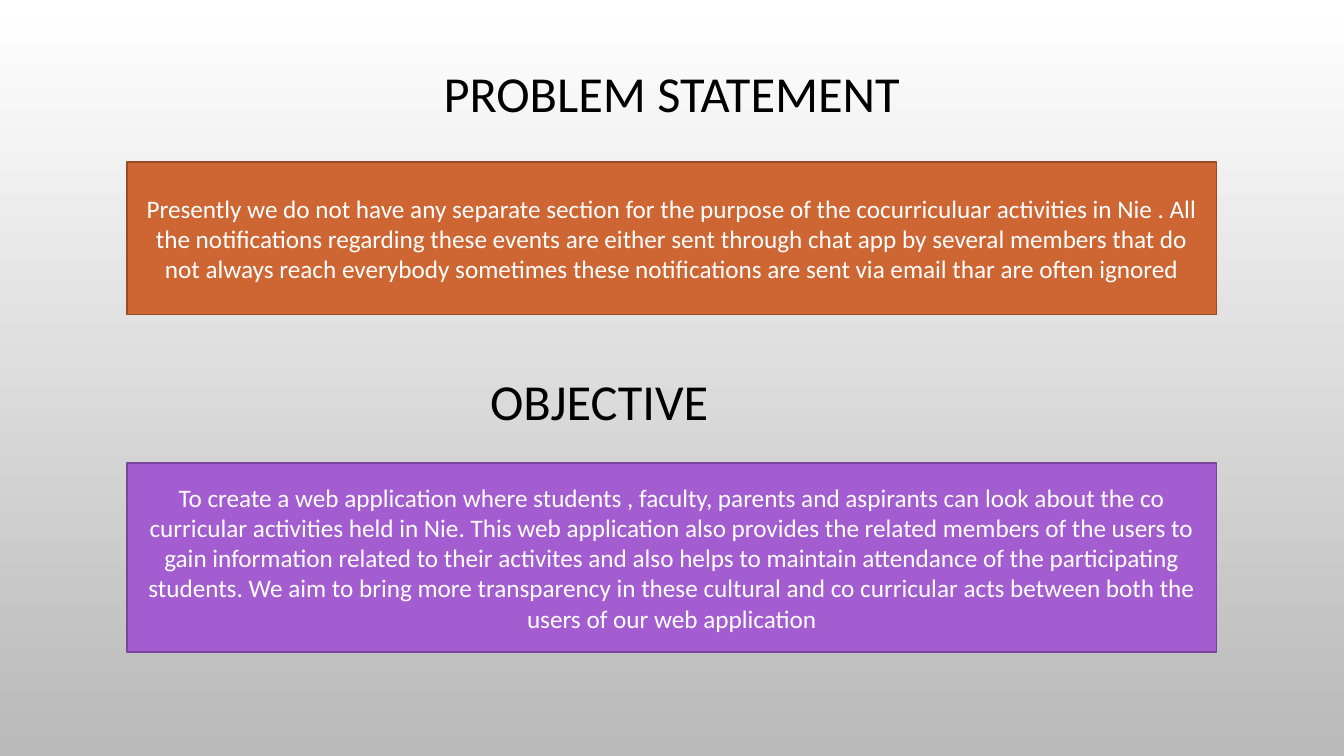
from pptx import Presentation
from pptx.dml.color import RGBColor
from pptx.enum.shapes import MSO_SHAPE
from pptx.enum.text import MSO_ANCHOR, PP_ALIGN
from pptx.util import Cm, Pt

RECTANGLE = MSO_SHAPE.RECTANGLE
TOP, MIDDLE = MSO_ANCHOR.TOP, MSO_ANCHOR.MIDDLE
LEFT, CENTER = PP_ALIGN.LEFT, PP_ALIGN.CENTER


def rgb(value):
    return RGBColor.from_string(value)


def write(shape, text, size=18, color="000000", align=CENTER, anchor=MIDDLE, spacing=1.0):
    frame = shape.text_frame
    frame.word_wrap = True
    frame.vertical_anchor = anchor
    paragraph = frame.paragraphs[0]
    paragraph.text = text
    paragraph.alignment = align
    paragraph.line_spacing = spacing
    font = paragraph.font
    font.name = "Calibri"
    font.size = Pt(size)
    font.color.rgb = rgb(color)


prs = Presentation()
prs.slide_width, prs.slide_height = Cm(33.87), Cm(19.05)
slide = prs.slides.add_slide(prs.slide_layouts[5])

# Background: white at the top to grey at the bottom
backdrop = slide.background.fill
backdrop.gradient()
backdrop.gradient_angle = 270
for stop, (position, color) in zip(backdrop.gradient_stops, [(0, "FFFFFF"), (1, "B9B9B9")]):
    stop.position = position
    stop.color.rgb = rgb(color)

# Headings
problem_heading = slide.shapes.title
problem_heading.left, problem_heading.top = Cm(2.54), Cm(0.2)
problem_heading.width, problem_heading.height = Cm(28.78), Cm(4.45)
write(problem_heading, "PROBLEM STATEMENT", size=36, spacing=0.9)

objective_heading = slide.shapes.add_textbox(Cm(4.9), Cm(9.19), Cm(24.79), Cm(1.8))
objective_heading.text_frame.margin_left = Cm(7.45)
write(objective_heading, "OBJECTIVE", size=36, align=LEFT, anchor=TOP)

# Statement panels: top, height, fill, outline, text
panels = [
    (4.09, 3.84, "CE6633", "984B26",
     "Presently we do not have any separate section for the purpose of the "
     "cocurriculuar activities in Nie . All the notifications regarding these "
     "events are either sent through chat app by several members that do not "
     "always reach everybody sometimes these notifications are sent via email "
     "thar are often ignored"),
    (11.66, 4.78, "A35DD1", "79459B",
     "To create a web application where students , faculty, parents and "
     "aspirants can look about the co curricular activities held in Nie. This "
     "web application also provides the related members of the users to gain "
     "information related to their activites and also helps to maintain "
     "attendance of the participating students. We aim to bring more "
     "transparency in these cultural and co curricular acts between both the "
     "users of our web application"),
]
for top, height, fill, outline, statement in panels:
    panel = slide.shapes.add_shape(RECTANGLE, Cm(3.2), Cm(top), Cm(27.46), Cm(height))
    panel.shadow.inherit = False
    panel.fill.solid()
    panel.fill.fore_color.rgb = rgb(fill)
    panel.line.color.rgb = rgb(outline)
    panel.line.width = Pt(1.25)
    write(panel, statement, color="FFFFFF")

prs.save("out.pptx")
